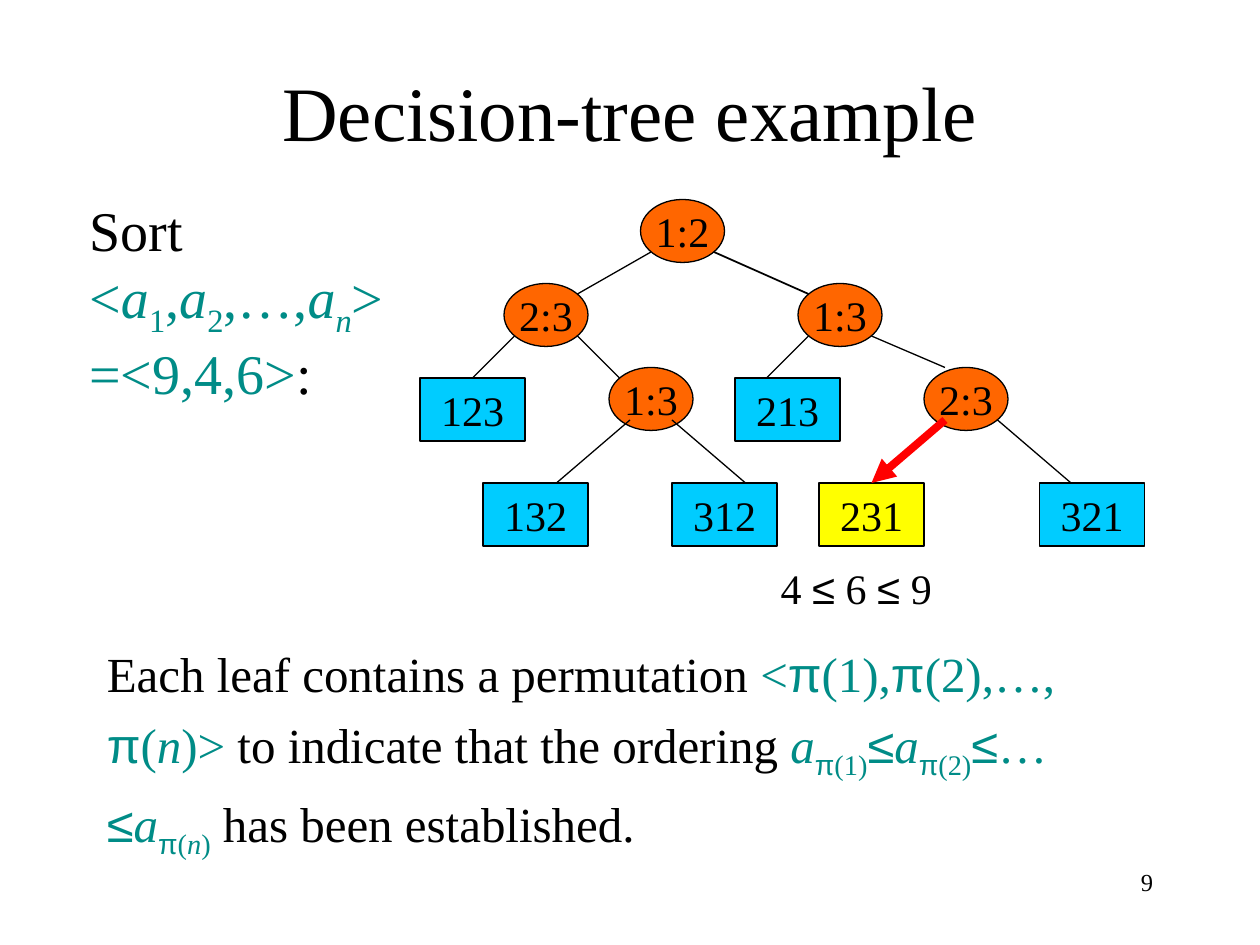
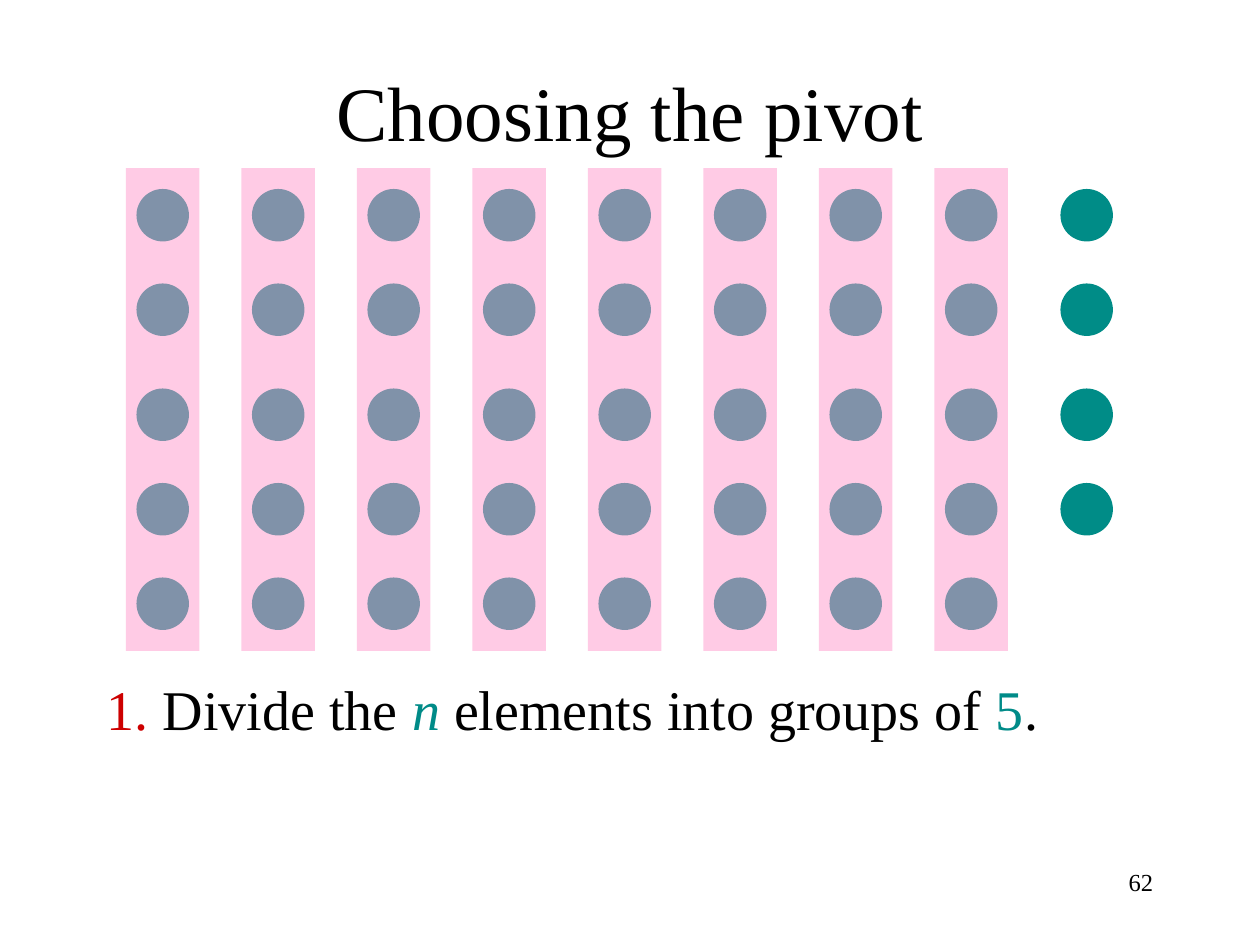
from lxml.etree import SubElement
from pptx import Presentation
from pptx.dml.color import RGBColor
from pptx.enum.shapes import MSO_CONNECTOR, MSO_SHAPE
from pptx.enum.text import MSO_ANCHOR, MSO_AUTO_SIZE, PP_ALIGN
from pptx.oxml.ns import qn
from pptx.util import Pt

THEME = {
    "serif": "Times New Roman", "sans": "Arial",
    "ink": "000000", "teal": "008C87", "deep": "008B88", "red": "CD0000",
    "node": "FF6600", "leaf": "00CCFF", "found": "FFFF00",
    "arrow": "FF0000", "band": "FF99CC",
    "title": 44, "lead": 32, "body": 28, "label": 24, "page": 14,
}

# Text runs: (text, marks); t teal, d deep teal, r red, i italic, s subscript, a sans
TREE = "Decision-tree example"
SORT = [
    [("Sort ", ""), ("<", "t"), ("a", "ti"), ("1", "ts"), (",", "t"), ("a", "ti"),
     ("2", "ts"), (",…,", "t"), ("a", "ti"), ("n", "tis"), (">", "t")],
    [("=<9,4,6>", "t"), (":", "")],
]
ORDER = [[("4 ", ""), ("≤", "a"), (" 6 ", ""), ("≤", "a"), (" 9", "")]]
LEAF = [
    [("Each leaf contains a permutation ", ""), ("<", "t"), ("π", "ta"),
     ("(1),", "t"), ("π", "ta"), ("(2),…,", "t")],
    [("π", "ta"), ("(", "t"), ("n", "ti"), (")>", "t"),
     (" to indicate that the ordering ", ""),
     ("a", "ti"), ("π", "tas"), ("(1)", "ts"), ("≤", "ta"),
     ("a", "ti"), ("π", "tas"), ("(2)", "ts"), ("≤", "ta"), ("…", "t")],
    [("≤", "ta"), ("a", "ti"), ("π", "tas"), ("(", "ts"), ("n", "tis"),
     (")", "ts"), (" has been established.", "")],
]
PIVOT = "Choosing the pivot"
STEP = [[("1. ", "r"), ("Divide the ", ""), ("n ", "di"),
         ("elements into groups of ", ""), ("5", "d"), (".", "")]]

# Tree parts: label, left, top; edges: start, end
NODES = [("1:2", 366, 114), ("2:3", 528, 210), ("1:3", 348, 210),
         ("1:3", 456, 162), ("2:3", 288, 162)]
LEAVES = [("123", 240, 216), ("213", 420, 216), ("312", 384, 276),
          ("132", 276, 276), ("231", 468, 276), ("321", 594, 276)]
EDGES = [((372, 144), (330, 168)), ((408, 144), (462, 168)),
         ((294, 192), (270, 216)), ((330, 192), (354, 216)),
         ((360, 240), (318, 276)), ((384, 240), (426, 276)),
         ((540, 240), (498, 276)), ((570, 240), (612, 276)),
         ((498, 192), (540, 210)), ((462, 192), (438, 216))]
FOUND = "231"
NODE, CELL = (48, 36), (60, 36)

# Pivot grid: column step, dot rows, group size
PITCH, ROWS, GROUPS, REST = 66, (108, 162, 222, 276, 330), 8, 4


def tint(name):
    return RGBColor.from_string(THEME[name])


def style(run, size, marks=""):
    hues = {"t": "teal", "d": "deep", "r": "red"}
    font = run.font
    font.size = Pt(THEME[size])
    font.name = THEME["sans" if "a" in marks else "serif"]
    font.color.rgb = tint(next((hues[m] for m in marks if m in hues), "ink"))
    if "i" in marks:
        font.italic = True
    if "s" in marks:
        run._r.get_or_add_rPr().set("baseline", "-25000")


def write(slide, area, lines, size, gap=0, hang=0, wrap=True, align=PP_ALIGN.LEFT,
          anchor=MSO_ANCHOR.TOP):
    frame = slide.shapes.add_textbox(*map(Pt, area)).text_frame
    frame.word_wrap = wrap
    frame.vertical_anchor = anchor
    if not wrap:
        frame.auto_size = MSO_AUTO_SIZE.SHAPE_TO_FIT_TEXT
    for row, line in enumerate(lines):
        para = frame.add_paragraph() if row else frame.paragraphs[0]
        para.alignment = align
        if row and gap:
            para.space_before = Pt(gap)
        if hang:
            props = para._p.get_or_add_pPr()
            props.set("marL", str(Pt(hang)))
            props.set("indent", str(-Pt(hang)))
        for text, marks in line:
            run = para.add_run()
            run.text = text
            style(run, size, marks)


def draw(slide, kind, area, fill, edge=False, text=""):
    shape = slide.shapes.add_shape(kind, *map(Pt, area))
    shape.shadow.inherit = False
    shape.fill.solid()
    shape.fill.fore_color.rgb = tint(fill)
    if edge:
        shape.line.color.rgb = tint("ink")
        shape.line.width = Pt(0.75)
    else:
        shape.line.fill.background()
    if text:
        frame = shape.text_frame
        frame.text = text
        frame.word_wrap = False
        frame.vertical_anchor = MSO_ANCHOR.MIDDLE
        frame.paragraphs[0].alignment = PP_ALIGN.CENTER
        style(frame.paragraphs[0].runs[0], "label")
    return shape


def link(slide, start, end, color="ink", width=0.75, head=False):
    line = slide.shapes.add_connector(MSO_CONNECTOR.STRAIGHT, *map(Pt, start + end))
    line.line.color.rgb = tint(color)
    line.line.width = Pt(width)
    if head:
        SubElement(line.line._get_or_add_ln(), qn("a:tailEnd"), type="triangle")
    SubElement(line._element.spPr, qn("a:effectLst"))
    return line


def start(deck, title, page):
    slide = deck.slides.add_slide(deck.slide_layouts[6])
    write(slide, (516, 492, 150, 36), [[(page, "")]], "page", align=PP_ALIGN.RIGHT)
    write(slide, (54, 18, 612, 90), [[(title, "")]], "title",
          align=PP_ALIGN.CENTER, anchor=MSO_ANCHOR.MIDDLE)
    return slide


def tree(deck):
    slide = start(deck, TREE, "9")
    write(slide, (54, 364, 612, 116), LEAF, "body", gap=7, hang=27)
    for text, left, top in NODES:
        draw(slide, MSO_SHAPE.OVAL, (left, top, *NODE), "node", True, text)
    # Leaves, keyed by the middle of their top side
    tops = {}
    for text, left, top in LEAVES:
        fill = "found" if text == FOUND else "leaf"
        box = draw(slide, MSO_SHAPE.RECTANGLE, (left, top, *CELL), fill, True, text)
        tops[left + CELL[0] // 2, top] = box
    for first, last in EDGES:
        box = tops.get(last)
        if box and box.text_frame.text == FOUND:
            line = link(slide, first, last, "arrow", 4.5, True)
        else:
            line = link(slide, first, last, width=1 if first == (408, 144) else 0.75)
        if box:
            line.end_connect(box, 0)
    write(slide, (44, 108, 243, 89), SORT, "lead", wrap=False)
    write(slide, (439, 318, 112, 36), ORDER, "label", wrap=False)


def pivot(deck):
    slide = start(deck, PIVOT, "62")
    write(slide, (54, 382, 612, 98), STEP, "lead", hang=27)
    for col in range(GROUPS + 1):
        for top in ROWS if col < GROUPS else ROWS[:REST]:
            draw(slide, MSO_SHAPE.OVAL, (78 + PITCH * col, top, 30, 30), "teal")
    # Half-clear bands over the full groups
    for col in range(GROUPS):
        band = draw(slide, MSO_SHAPE.RECTANGLE, (72 + PITCH * col, 96, 42, 276), "band")
        color = band._element.spPr.find(qn("a:solidFill"))[0]
        SubElement(color, qn("a:alpha"), val="50000")


def main():
    deck = Presentation()
    deck.slide_width, deck.slide_height = Pt(720), Pt(540)
    tree(deck)
    pivot(deck)
    deck.save("out.pptx")


if __name__ == "__main__":
    main()
